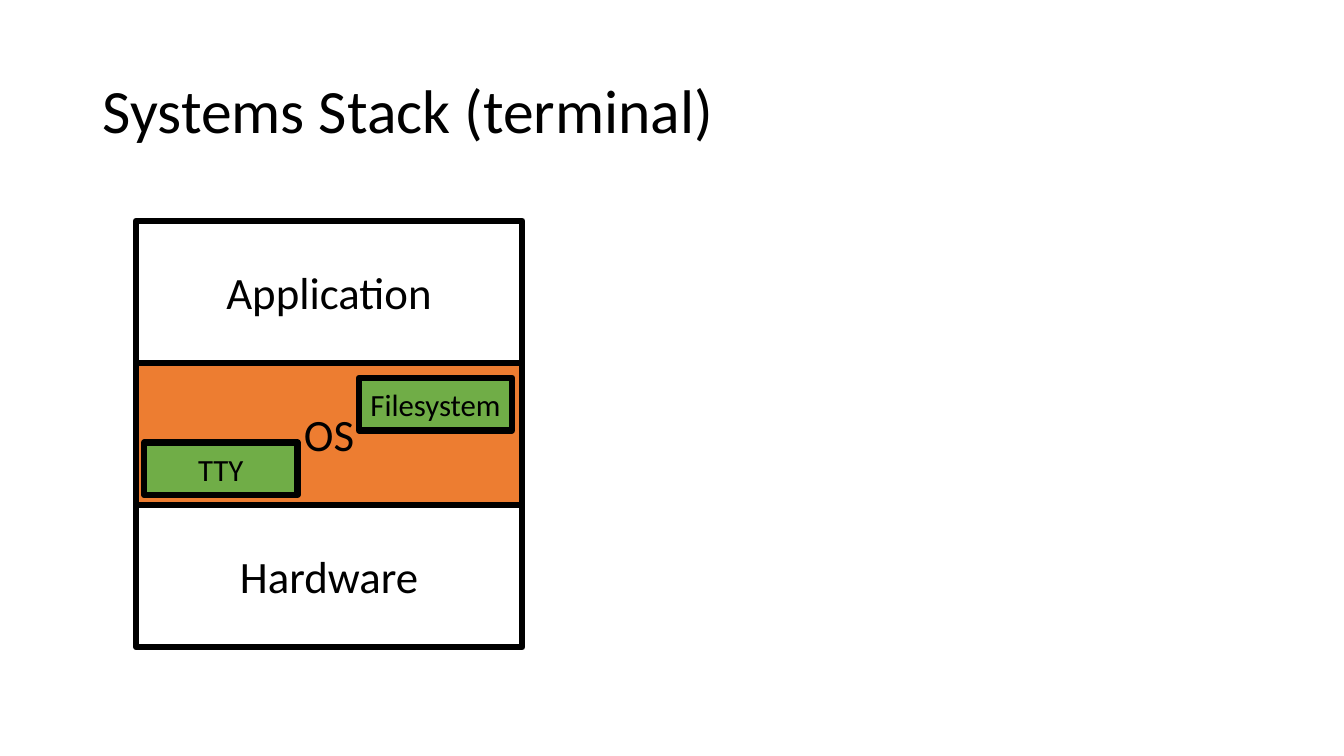
from pptx import Presentation
from pptx.dml.color import RGBColor
from pptx.enum.shapes import MSO_SHAPE
from pptx.enum.text import MSO_ANCHOR, PP_ALIGN
from pptx.util import Inches, Pt

RECTANGLE = MSO_SHAPE.RECTANGLE
MIDDLE = MSO_ANCHOR.MIDDLE
LEFT, CENTER = PP_ALIGN.LEFT, PP_ALIGN.CENTER

COLORS = {
    "black": "000000",
    "white": "FFFFFF",
    "orange": "ED7D31",
    "green": "70AD47",
}
STACK_LEFT, STACK_TOP = 1.35, 2.19
LAYER_WIDTH, LAYER_HEIGHT = 3.83, 1.41
LAYERS = [("Application", "white"), ("OS", "orange"), ("Hardware", "white")]
MODULES = [("Filesystem", 3.56, 3.75), ("TTY", 1.43, 4.39)]
MODULE_WIDTH, MODULE_HEIGHT = 1.52, 0.52


def color(name):
    """Return the named colour."""
    return RGBColor.from_string(COLORS[name])


def write(frame, text, size, font="Calibri", fill="black", align=LEFT, spacing=1.0):
    """Write one formatted paragraph into a text frame."""
    frame.word_wrap = True
    frame.vertical_anchor = MIDDLE
    frame.margin_left = frame.margin_right = Inches(0.1)
    frame.margin_top = frame.margin_bottom = Inches(0.05)
    para = frame.paragraphs[0]
    para.alignment = align
    para.line_spacing = spacing
    span = para.add_run()
    span.text = text
    span.font.name = font
    span.font.size = Pt(size)
    span.font.bold = False
    span.font.color.rgb = color(fill)


class StackSlide:
    """Hold the current slide and the style of its boxes."""

    def __init__(self, deck, border="black", border_width=4.5):
        """Add a title-only slide to the deck."""
        self.slide = deck.slides.add_slide(deck.slide_layouts[5])
        self.border = color(border)
        self.border_width = Pt(border_width)

    def title(self, text, left, top, width, height):
        """Place and fill the title."""
        title = self.slide.shapes.title
        title.left, title.top = Inches(left), Inches(top)
        title.width, title.height = Inches(width), Inches(height)
        write(title.text_frame, text, 44, spacing=0.9)

    def box(self, text, left, top, width, height, fill, size):
        """Draw a bordered box with centred text."""
        box = self.slide.shapes.add_shape(
            RECTANGLE, Inches(left), Inches(top), Inches(width), Inches(height))
        box.shadow.inherit = False
        box.fill.solid()
        box.fill.fore_color.rgb = color(fill)
        box.line.color.rgb = self.border
        box.line.width = self.border_width
        write(box.text_frame, text, size, align=CENTER)


def main():
    """Build and save the deck."""
    deck = Presentation()
    deck.slide_width, deck.slide_height = Inches(13.33), Inches(7.5)
    page = StackSlide(deck)
    page.title("Systems Stack (terminal)", 0.92, 0.4, 11.5, 1.45)
    for row, (name, fill) in reversed(list(enumerate(LAYERS))):
        page.box(name, STACK_LEFT, STACK_TOP + row * LAYER_HEIGHT,
                 LAYER_WIDTH, LAYER_HEIGHT, fill, 32)
    for name, left, top in MODULES:
        page.box(name, left, top, MODULE_WIDTH, MODULE_HEIGHT, "green", 22)
    deck.save("out.pptx")


if __name__ == "__main__":
    main()
